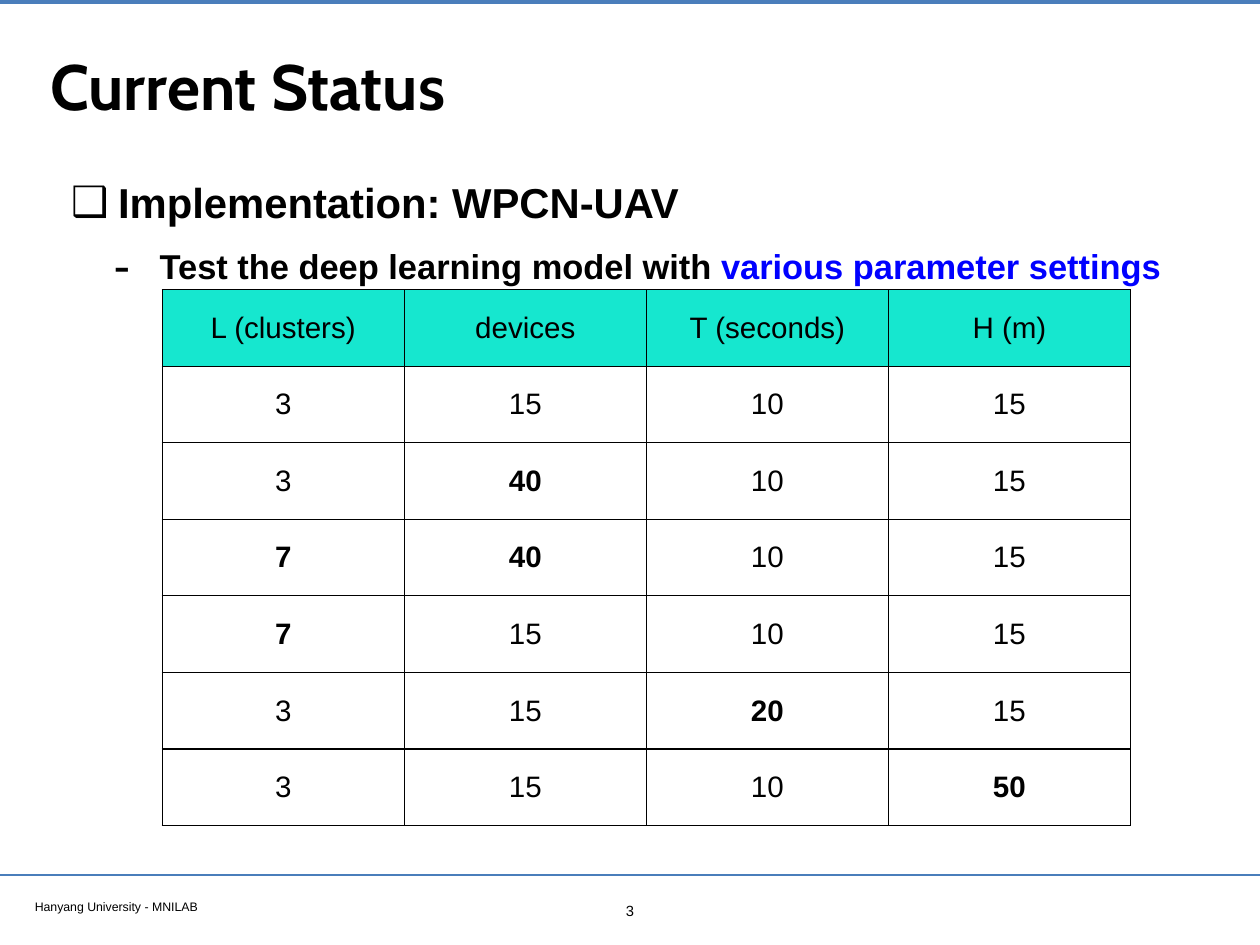
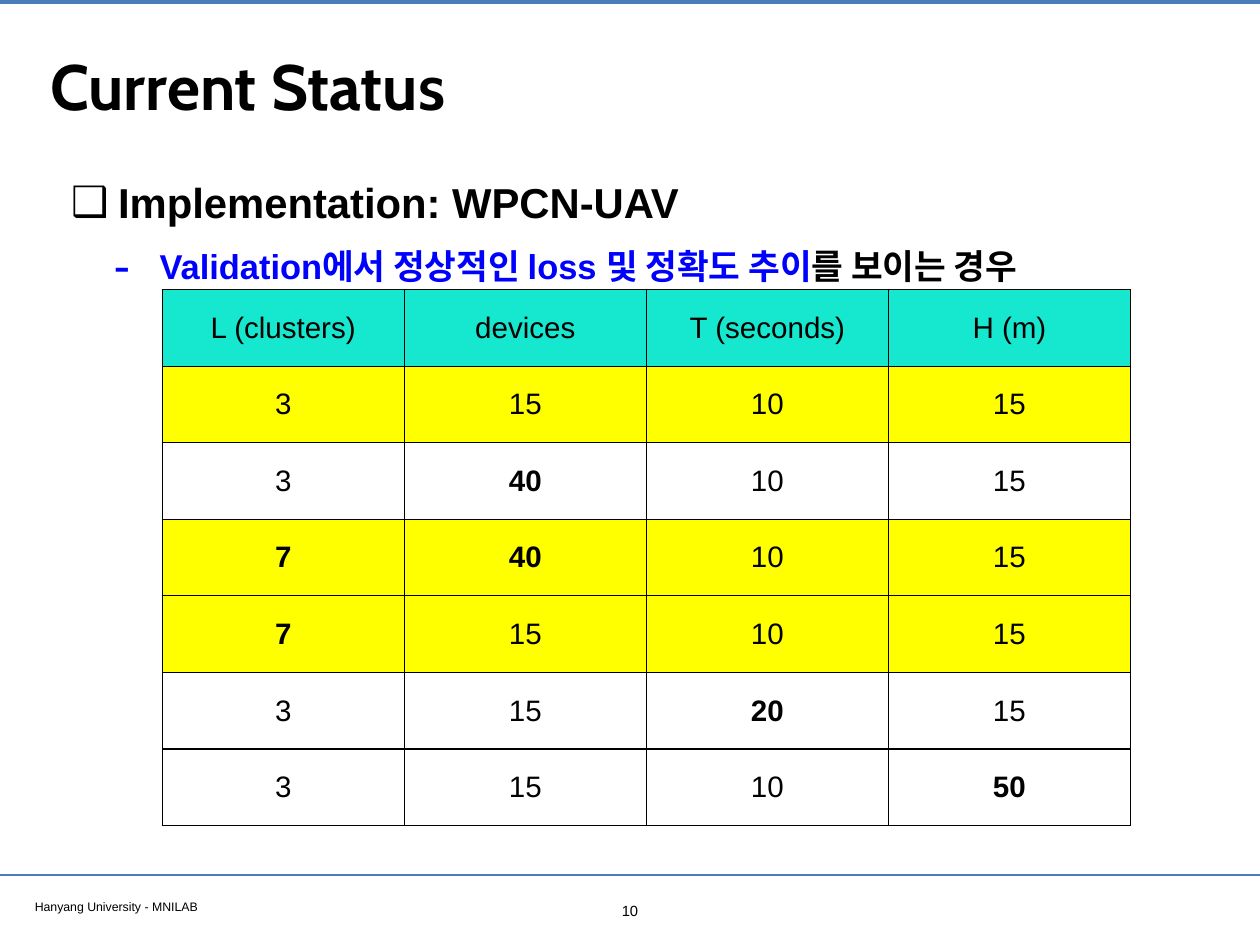
from lxml import etree
from pptx import Presentation
from pptx.dml.color import RGBColor
from pptx.enum.shapes import MSO_CONNECTOR
from pptx.enum.text import MSO_ANCHOR, PP_ALIGN
from pptx.oxml.ns import qn
from pptx.util import Pt

STRAIGHT = MSO_CONNECTOR.STRAIGHT
MIDDLE, TOP = MSO_ANCHOR.MIDDLE, MSO_ANCHOR.TOP
LEFT, CENTER = PP_ALIGN.LEFT, PP_ALIGN.CENTER

WIDTH, HEIGHT = 1024, 768
TITLE_ONLY = 5
TITLE_FONT, BODY_FONT = "Cabin", "Arial"
BLACK, BLUE, RULE = "000000", "0000FF", "4A7EBB"
HEADER_FILL, HIGHLIGHT_FILL = "16E7CF", "FFFF00"

TITLE_BOX = (36.5, 20.2, 951, 97.2)
BODY_BOX = (53.3, 131, 961, 130)
TABLE_BOX = (131.8, 235.4, 787, 435.6)
FOOTER_BOX = (23.8, 726.5, 393, 19)
NUMBER_BOX = (498, 728.6, 28, 22.5)
RULES = ((1.5, 3.2), (711.2, 2))

HEADERS = ("L (clusters)", "devices", "T (seconds)", "H (m)")
BASELINE = (3, 15, 10, 15)
SETTINGS = (
    BASELINE,
    (3, 40, 10, 15),
    (7, 40, 10, 15),
    (7, 15, 10, 15),
    (3, 15, 20, 15),
    (3, 15, 10, 50),
)
SLIDES = (
    (3, (("Test the deep learning model with ", BLACK),
         ("various parameter settings", BLUE)), ()),
    (10, (("Validation에서 정상적인 loss 및 정확도 추이", BLUE),
          ("를 보이는 경우", BLACK)), (0, 2, 3)),
)


def color(value):
    """Turn a hex string into a colour."""
    return RGBColor.from_string(value)


def points(box):
    """Turn a box of numbers into lengths in points."""
    return [Pt(length) for length in box]


def add_run(paragraph, text, size, fill=BLACK, bold=False, font=BODY_FONT):
    """Append one formatted run to a paragraph."""
    run = paragraph.add_run()
    run.text = text
    run.font.name = font
    run.font.size = Pt(size)
    run.font.bold = bold
    run.font.color.rgb = color(fill)


def set_frame(frame, anchor=TOP):
    """Give a text frame the shared insets and wrapping."""
    frame.word_wrap = True
    frame.vertical_anchor = anchor
    frame.margin_left = frame.margin_right = Pt(4.5)
    frame.margin_top = frame.margin_bottom = Pt(4.5)


def add_text_box(slide, box):
    """Add an empty text box and return its frame."""
    frame = slide.shapes.add_textbox(*points(box)).text_frame
    set_frame(frame)
    return frame


def add_rule(slide, y, weight):
    """Draw a horizontal line across the slide."""
    rule = slide.shapes.add_connector(STRAIGHT, 0, Pt(y), Pt(WIDTH), Pt(y))
    rule.line.color.rgb = color(RULE)
    rule.line.width = Pt(weight)
    etree.SubElement(rule._element.spPr, qn("a:effectLst"))


def add_frame_parts(slide, number):
    """Place the rules, footer and slide number."""
    for y, weight in RULES:
        add_rule(slide, y, weight)
    footer = add_text_box(slide, FOOTER_BOX).paragraphs[0]
    add_run(footer, "Hanyang University - MNILAB", 10)
    page = add_text_box(slide, NUMBER_BOX).paragraphs[0]
    page.alignment = CENTER
    add_run(page, str(number), 12)


def set_title(slide, text, box):
    """Move and format the title placeholder."""
    title = slide.shapes.title
    title.left, title.top, title.width, title.height = points(box)
    set_frame(title.text_frame, MIDDLE)
    paragraph = title.text_frame.paragraphs[0]
    paragraph.alignment = LEFT
    add_run(paragraph, text, 52, bold=True, font=TITLE_FONT)


def set_bullet(paragraph, character, margin, indent, percent=100):
    """Give a paragraph a bullet with a hanging indent."""
    properties = paragraph._p.get_or_add_pPr()
    properties.set("marL", str(Pt(margin)))
    properties.set("indent", str(Pt(-indent)))
    etree.SubElement(properties, qn("a:buSzPct"), val=str(percent * 1000))
    etree.SubElement(properties, qn("a:buFont"), typeface=BODY_FONT)
    etree.SubElement(properties, qn("a:buChar"), char=character)
    paragraph.line_spacing = 1.2


def add_body(slide, detail_runs, box):
    """Place the topic and its detail line."""
    frame = add_text_box(slide, box)
    topic = frame.paragraphs[0]
    set_bullet(topic, "❑", 38.2, 38.2)
    add_run(topic, "Implementation: WPCN-UAV", 34, bold=True)
    detail = frame.add_paragraph()
    detail.level = 1
    set_bullet(detail, "-", 72, 37.4, 145)
    detail.space_before = Pt(8)
    for text, fill in detail_runs:
        add_run(detail, text, 28, fill, True)


def set_borders(cell):
    """Draw a thin black line on each side of a cell."""
    properties = cell._tc.get_or_add_tcPr()
    for side in ("a:lnL", "a:lnR", "a:lnT", "a:lnB"):
        line = etree.SubElement(properties, qn(side), w=str(Pt(1)))
        fill = etree.SubElement(line, qn("a:solidFill"))
        etree.SubElement(fill, qn("a:srgbClr"), val=BLACK)


def set_cell(cell, text, fill=None, bold=False):
    """Fill, border and label one table cell."""
    set_borders(cell)
    if fill:
        cell.fill.solid()
        cell.fill.fore_color.rgb = color(fill)
    else:
        cell.fill.background()
    cell.vertical_anchor = MIDDLE
    paragraph = cell.text_frame.paragraphs[0]
    paragraph.alignment = CENTER
    add_run(paragraph, str(text), 24, bold=bold)


def add_settings_table(slide, highlighted, box):
    """Tabulate the settings, with changes from the baseline in bold."""
    table = slide.shapes.add_table(
        len(SETTINGS) + 1, len(HEADERS), *points(box)).table
    table.first_row = table.horz_banding = False
    for column in table.columns:
        column.width = Pt(box[2] / len(HEADERS))
    for row in table.rows:
        row.height = Pt(box[3] / (len(SETTINGS) + 1))
    for column, header in enumerate(HEADERS):
        set_cell(table.cell(0, column), header, HEADER_FILL)
    for row, setting in enumerate(SETTINGS):
        fill = HIGHLIGHT_FILL if row in highlighted else None
        for column, value in enumerate(setting):
            set_cell(table.cell(row + 1, column), value, fill,
                     value != BASELINE[column])


def add_status_slide(presentation, number, detail_runs, highlighted):
    """Build one status slide."""
    slide = presentation.slides.add_slide(
        presentation.slide_layouts[TITLE_ONLY])
    add_frame_parts(slide, number)
    set_title(slide, "Current Status", TITLE_BOX)
    add_body(slide, detail_runs, BODY_BOX)
    add_settings_table(slide, highlighted, TABLE_BOX)


def main():
    """Build and save the presentation."""
    presentation = Presentation()
    presentation.slide_width = Pt(WIDTH)
    presentation.slide_height = Pt(HEIGHT)
    for number, detail_runs, highlighted in SLIDES:
        add_status_slide(presentation, number, detail_runs, highlighted)
    presentation.save("out.pptx")


if __name__ == "__main__":
    main()
